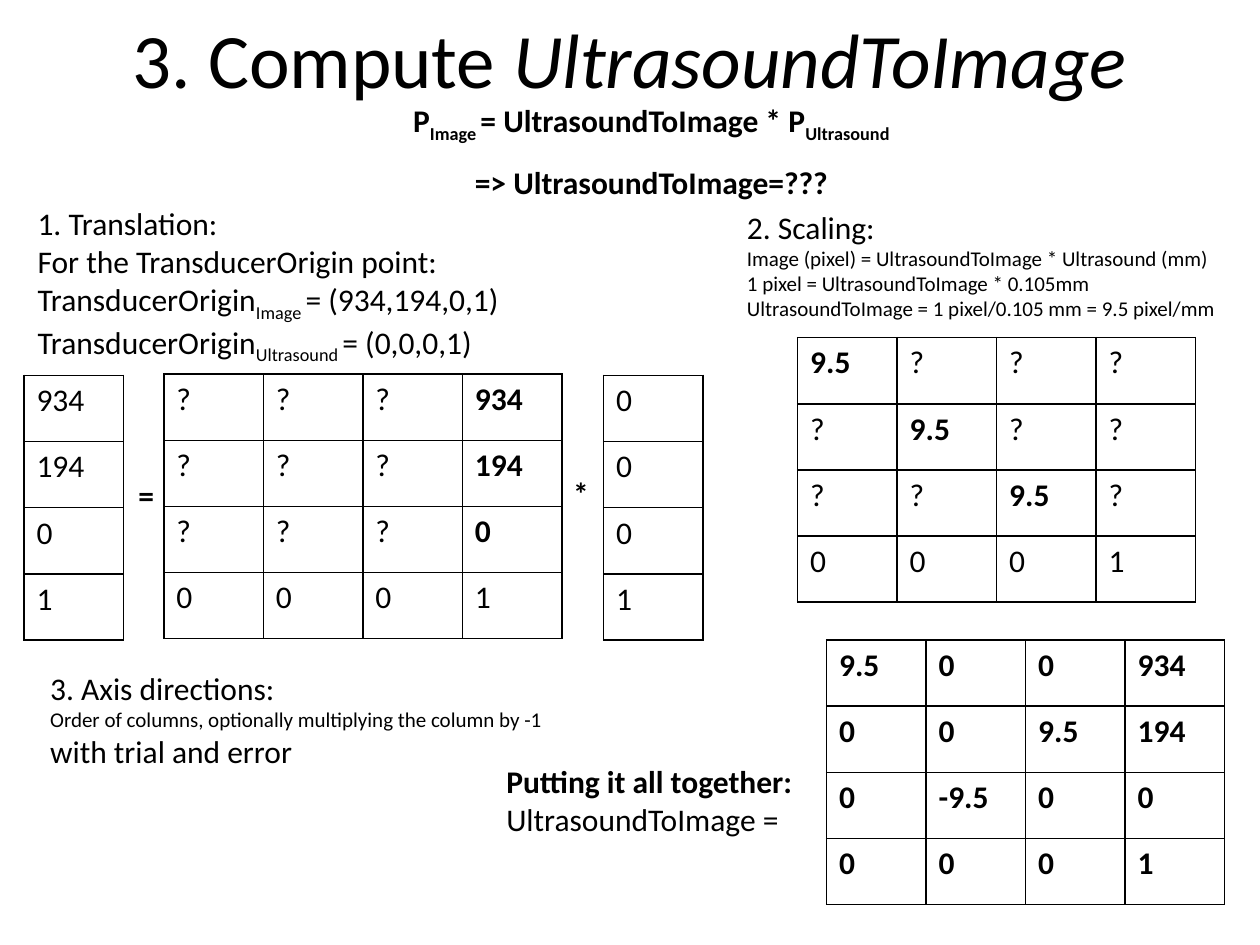
from dataclasses import dataclass

from lxml.etree import SubElement
from pptx import Presentation
from pptx.dml.color import RGBColor
from pptx.enum.text import MSO_ANCHOR, MSO_AUTO_SIZE, PP_ALIGN
from pptx.oxml.ns import qn
from pptx.util import Inches, Pt


@dataclass(frozen=True)
class Theme:
    font: str = "Calibri"
    ink: str = "000000"
    title: int = 44
    body: int = 18
    small: int = 12
    border: int = 1


@dataclass(frozen=True)
class Span:
    text: str
    size: int = 18
    bold: bool = False
    italic: bool = False
    subscript: bool = False


THEME = Theme()
CELL_WIDTH = 0.79
MATRIX_HEIGHT = 2.1


def bold(text):
    return Span(text, THEME.body, bold=True)


def small(text):
    return Span(text, THEME.small)


def subscript(text, is_bold=False):
    return Span(text, THEME.body, bold=is_bold, subscript=True)


def add_span(para, part):
    if isinstance(part, str):
        part = Span(part, THEME.body)
    span = para.add_run()
    span.text = part.text
    span.font.name = THEME.font
    span.font.size = Pt(part.size)
    span.font.bold = part.bold
    span.font.italic = part.italic
    span.font.color.rgb = RGBColor.from_string(THEME.ink)
    if part.subscript:
        span._r.get_or_add_rPr().set("baseline", "-25000")


def write_lines(frame, lines, align=PP_ALIGN.LEFT):
    for index, parts in enumerate(lines):
        para = frame.add_paragraph() if index else frame.paragraphs[0]
        para.alignment = align
        for part in parts:
            add_span(para, part)


def add_title(page, parts):
    title = page.shapes.title
    title.left, title.top = Inches(0.5), Inches(0)
    title.width, title.height = Inches(9), Inches(0.92)
    title.text_frame.vertical_anchor = MSO_ANCHOR.MIDDLE
    title.text_frame.auto_size = MSO_AUTO_SIZE.NONE
    write_lines(title.text_frame, [parts], PP_ALIGN.CENTER)


def add_text(page, left, top, width, height, lines, align=PP_ALIGN.LEFT):
    box = page.shapes.add_textbox(Inches(left), Inches(top), Inches(width), Inches(height))
    frame = box.text_frame
    frame.word_wrap = False
    frame.auto_size = MSO_AUTO_SIZE.SHAPE_TO_FIT_TEXT
    write_lines(frame, lines, align)
    return frame


def add_borders(cell):
    properties = cell._tc.get_or_add_tcPr()
    for side in ("lnL", "lnR", "lnT", "lnB"):
        line = SubElement(properties, qn(f"a:{side}"), w=str(Pt(THEME.border)))
        fill = SubElement(line, qn("a:solidFill"))
        SubElement(fill, qn("a:srgbClr"), val=THEME.ink)


def add_matrix(page, left, top, rows):
    row_count, column_count = len(rows), len(rows[0])
    table = page.shapes.add_table(
        row_count, column_count, Inches(left), Inches(top),
        Inches(CELL_WIDTH * column_count), Inches(MATRIX_HEIGHT),
    ).table
    table.first_row = False
    table.horz_banding = False
    for row_index, values in enumerate(rows):
        for column_index, value in enumerate(values):
            cell = table.cell(row_index, column_index)
            add_borders(cell)
            cell.fill.background()
            write_lines(cell.text_frame, [[value]])


def add_column(page, left, top, values):
    add_matrix(page, left, top, [[value] for value in values])


def add_equation(page):
    frame = add_text(page, 3.08, 0.75, 4.18, 0.86, [
        [bold("P"), subscript("Image ", True), bold("= UltrasoundToImage * P"),
         subscript("Ultrasound", True)],
        [bold("=> UltrasoundToImage=???")],
    ], PP_ALIGN.CENTER)
    frame.paragraphs[1].line_spacing = 1.5


def add_translation(page):
    add_text(page, 0.2, 1.57, 3.96, 1.62, [
        ["1. Translation:"],
        ["For the TransducerOrigin point:"],
        ["TransducerOrigin", subscript("Image "), "= (934,194,0,1)"],
        ["TransducerOrigin", subscript("Ultrasound "), "= (0,0,0,1)"],
    ])
    origin = ["934", "194", "0"]
    add_column(page, 0.19, 2.98, origin + ["1"])
    add_text(page, 1, 3.73, 0.33, 0.4, [[bold("=")]])
    add_matrix(page, 1.3, 2.97, [["?"] * 3 + [bold(value)] for value in origin] + [["0", "0", "0", "1"]])
    add_text(page, 4.45, 3.71, 0.33, 0.4, [[bold("*")]])
    add_column(page, 4.79, 2.98, ["0", "0", "0", "1"])


def add_scaling(page):
    add_text(page, 5.83, 1.6, 3.97, 1.21, [
        ["2. Scaling:"],
        [small("Image (pixel) = UltrasoundToImage * Ultrasound (mm)")],
        [small("1 pixel = UltrasoundToImage * 0.105mm")],
        [small("UltrasoundToImage = 1 pixel/0.105 mm = 9.5 pixel/mm")],
    ])
    diagonal = [[bold("9.5") if row == column else "?" for column in range(4)] for row in range(3)]
    add_matrix(page, 6.33, 2.68, diagonal + [["0", "0", "0", "1"]])


def add_axis_directions(page):
    add_text(page, 0.3, 5.26, 4.14, 0.91, [
        ["3. Axis directions:"],
        [small("Order of columns, optionally multiplying the column by -1")],
        ["with trial and error"],
    ])


def add_result(page):
    add_text(page, 3.92, 6, 2.5, 1.01, [
        [bold("Putting it all together:")],
        ["UltrasoundToImage = "],
    ])
    result = [
        ["9.5", "0", "0", "934"],
        ["0", "0", "9.5", "194"],
        ["0", "-9.5", "0", "0"],
        ["0", "0", "0", "1"],
    ]
    add_matrix(page, 6.56, 5.08, [[bold(value) for value in row] for row in result])


def main():
    deck = Presentation()
    deck.slide_width, deck.slide_height = Inches(10), Inches(7.5)
    page = deck.slides.add_slide(deck.slide_layouts[5])
    add_title(page, [
        Span("3. Compute ", THEME.title),
        Span("UltrasoundToImage", THEME.title, italic=True),
    ])
    add_equation(page)
    add_translation(page)
    add_scaling(page)
    add_axis_directions(page)
    add_result(page)
    deck.save("out.pptx")


main()
